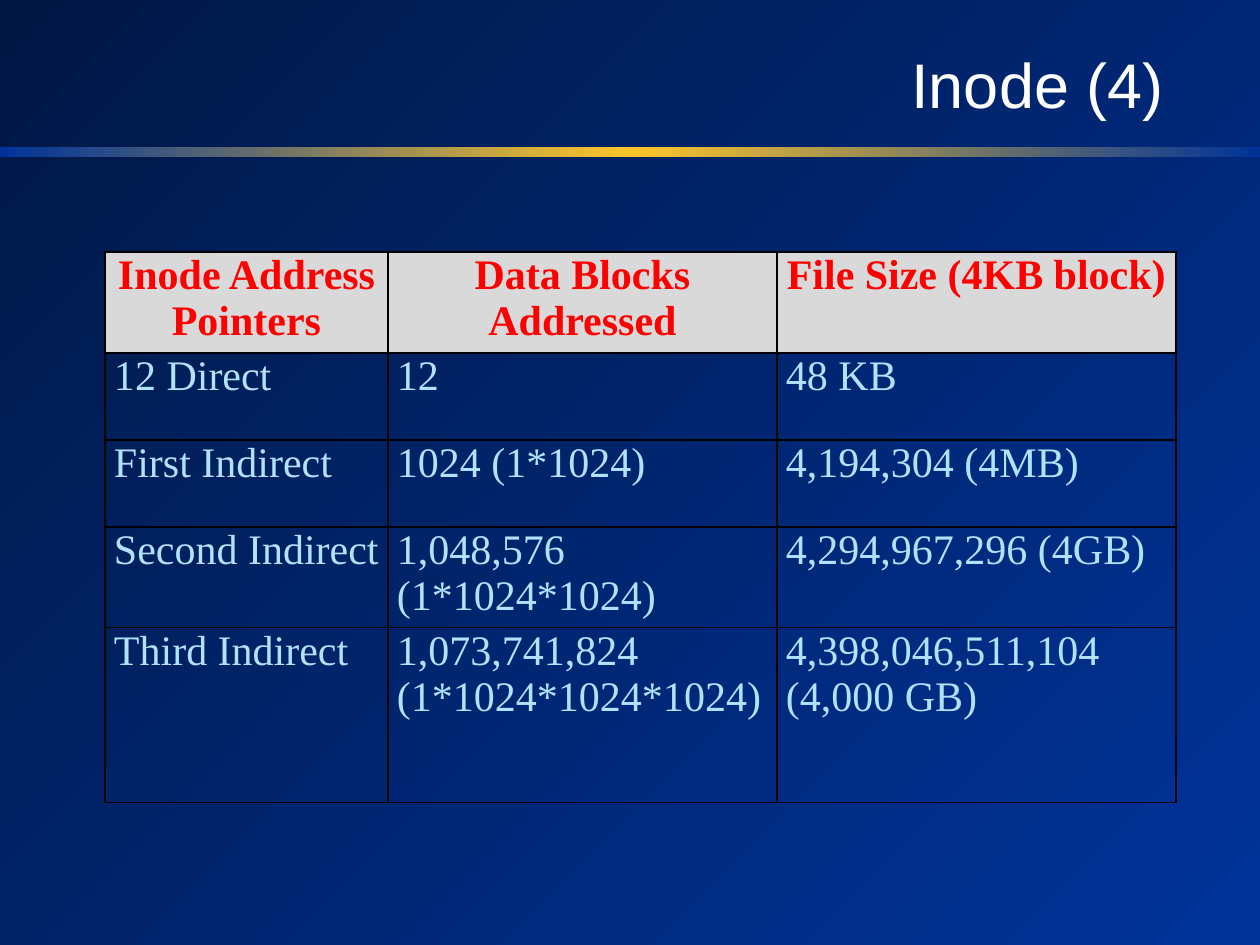
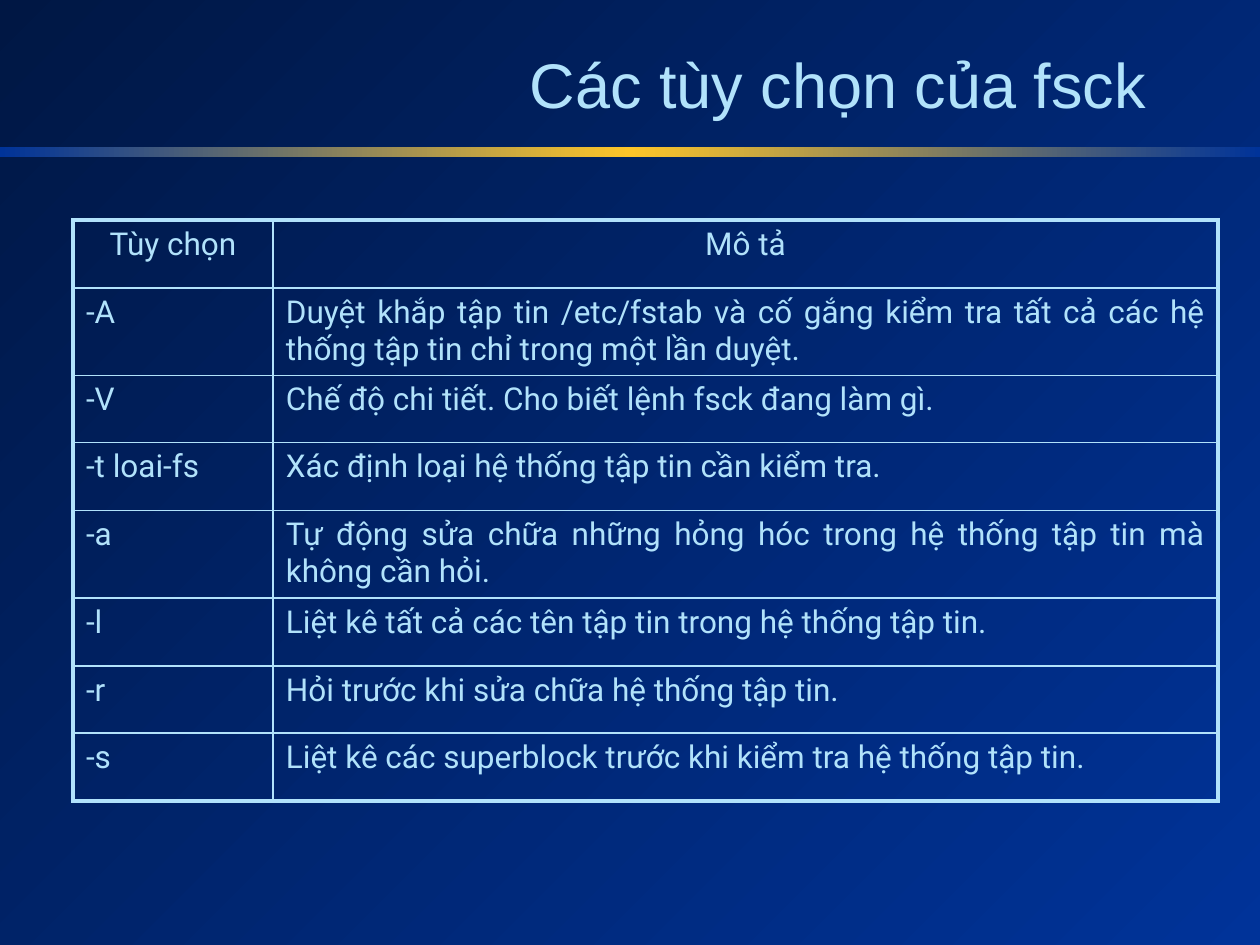
import copy
from dataclasses import dataclass

import pptx
import pptx.dml.color
import pptx.enum.shapes
import pptx.enum.text
import pptx.oxml.ns
import pptx.util
from lxml import etree

ALIGN = pptx.enum.text.PP_ALIGN
MIDDLE = pptx.enum.text.MSO_ANCHOR.MIDDLE
PX_PER_INCH = 126


@dataclass(frozen=True)
class Theme:
    night: str = "001744"
    blue: str = "003399"
    gold: str = "FDC529"
    white: str = "FFFFFF"
    sky: str = "B1E2FB"
    red: str = "FF0000"
    grey: str = "D9D9D9"
    black: str = "000000"
    title_font: str = "Arial"
    title_size: int = 36


THEME = Theme()
PAGE_SIZE = (1260, 945)
BAND = (0, 147, 1260, 10)
TITLE_BOX = (136, 44, 1040, 78)

SLIDES = [
    {
        "title": "Inode (4)",
        "title_color": THEME.white,
        "origin": (105, 252),
        "columns": [283, 389, 399],
        "row_heights": [87, 87, 87, 87, 175],
        "insets": (9, 0),
        "font": "Times New Roman",
        "size": 24,
        "header": {"color": THEME.red, "bold": True, "fill": THEME.grey},
        "border": THEME.black,
        "outer_width": 1,
        "rows": [
            ("Inode Address Pointers", "Data Blocks Addressed", "File Size (4KB block)"),
            ("12 Direct", "12", "48 KB"),
            ("First Indirect", "1024 (1*1024)", "4,194,304 (4MB)"),
            ("Second Indirect", "1,048,576 (1*1024*1024)", "4,294,967,296 (4GB)"),
            ("Third Indirect", "1,073,741,824 (1*1024*1024*1024)",
             "4,398,046,511,104 (4,000 GB)"),
        ],
    },
    {
        "title": "Các tùy chọn của fsck ",
        "title_color": THEME.sky,
        "origin": (73, 220),
        "columns": [200, 945],
        "row_heights": [68, 86, 67, 68, 86, 68, 67, 68],
        "insets": (13, 6),
        "font": "Roboto",
        "size": 18,
        "header": {"color": THEME.sky, "bold": False, "fill": None},
        "border": THEME.sky,
        "outer_width": 2.25,
        "rows": [
            ("Tùy chọn", "Mô tả"),
            ("-A", "Duyệt khắp tập tin /etc/fstab và cố gắng kiểm tra tất cả các hệ "
                   "thống tập tin chỉ trong một lần duyệt."),
            ("-V", "Chế độ chi tiết. Cho biết lệnh fsck đang làm gì."),
            ("-t loai-fs", "Xác định loại hệ thống tập tin cần kiểm tra."),
            ("-a", "Tự động sửa chữa những hỏng hóc trong hệ thống tập tin mà "
                   "không cần hỏi."),
            ("-l", "Liệt kê tất cả các tên tập tin trong hệ thống tập tin."),
            ("-r", "Hỏi trước khi sửa chữa hệ thống tập tin."),
            ("-s", "Liệt kê các superblock trước khi kiểm tra hệ thống tập tin."),
        ],
    },
]


def px(length):
    return pptx.util.Emu(round(length * 914400 / PX_PER_INCH))


def rgb(color):
    return pptx.dml.color.RGBColor.from_string(color)


def paint_gradient(fill, element, colors, angle):
    """Spread the colours evenly; element is the XML that holds the fill."""
    fill.gradient()
    fill.gradient_angle = angle
    stop_list = element.xpath(".//a:gsLst")[0]
    for _ in colors[2:]:
        stop_list.append(copy.deepcopy(stop_list[0]))
    for index, (stop, color) in enumerate(zip(fill.gradient_stops, colors)):
        stop.position = index / (len(colors) - 1)
        stop.color.rgb = rgb(color)


def write_text(frame, text, align, font, size, color, bold=False):
    para = frame.paragraphs[0]
    para.alignment = align
    span = para.add_run()
    span.text = text
    span.font.name = font
    span.font.size = pptx.util.Pt(size)
    span.font.color.rgb = rgb(color)
    span.font.bold = bold


def add_frame(page, title, color):
    """Draw the background, gold band and title that every slide has."""
    paint_gradient(page.background.fill, page.element, [THEME.night, THEME.blue], 315)
    band = page.shapes.add_shape(
        pptx.enum.shapes.MSO_SHAPE.RECTANGLE, *map(px, BAND))
    band.shadow.inherit = False
    band.line.fill.background()
    paint_gradient(band.fill, band.element, [THEME.blue, THEME.gold, THEME.blue], 0)
    box = page.shapes.add_textbox(*map(px, TITLE_BOX))
    box.text_frame.word_wrap = True
    box.text_frame.vertical_anchor = MIDDLE
    write_text(box.text_frame, title, ALIGN.RIGHT,
               THEME.title_font, THEME.title_size, color)


def set_borders(cell, color, widths):
    """Draw the cell's edges; widths are points for left, right, top, bottom."""
    properties = cell._tc.get_or_add_tcPr()
    qn = pptx.oxml.ns.qn
    for side, width in zip("LRTB", widths):
        line = etree.SubElement(properties, qn(f"a:ln{side}"), w=str(pptx.util.Pt(width)))
        solid = etree.SubElement(line, qn("a:solidFill"))
        etree.SubElement(solid, qn("a:srgbClr"), val=color)


def add_grid(page, content):
    rows, columns = content["rows"], content["columns"]
    heights = content["row_heights"]
    table = page.shapes.add_table(
        len(rows), len(columns), *map(px, content["origin"]),
        px(sum(columns)), px(sum(heights))).table
    table.first_row = table.horz_banding = False
    for column, width in zip(table.columns, columns):
        column.width = px(width)
    for row, height in zip(table.rows, heights):
        row.height = px(height)

    header, body = content["header"], {"color": THEME.sky, "bold": False, "fill": None}
    last_row, last_column = len(rows) - 1, len(columns) - 1
    side_inset, top_inset = map(px, content["insets"])
    for r, texts in enumerate(rows):
        style = body if r else header
        for c, text in enumerate(texts):
            cell = table.cell(r, c)
            cell.margin_left = cell.margin_right = side_inset
            cell.margin_top = cell.margin_bottom = top_inset
            on_edge = (c == 0, c == last_column, r == 0, r == last_row)
            set_borders(cell, content["border"],
                        [content["outer_width"] if edge else 1 for edge in on_edge])
            if style["fill"]:
                cell.fill.solid()
                cell.fill.fore_color.rgb = rgb(style["fill"])
            else:
                cell.fill.background()
            write_text(cell.text_frame, text, ALIGN.JUSTIFY if r else ALIGN.CENTER,
                       content["font"], content["size"], style["color"], style["bold"])


def main():
    deck = pptx.Presentation()
    deck.slide_width, deck.slide_height = map(px, PAGE_SIZE)
    for content in SLIDES:
        page = deck.slides.add_slide(deck.slide_layouts[6])
        add_frame(page, content["title"], content["title_color"])
        add_grid(page, content)
    deck.save("out.pptx")


if __name__ == "__main__":
    main()
